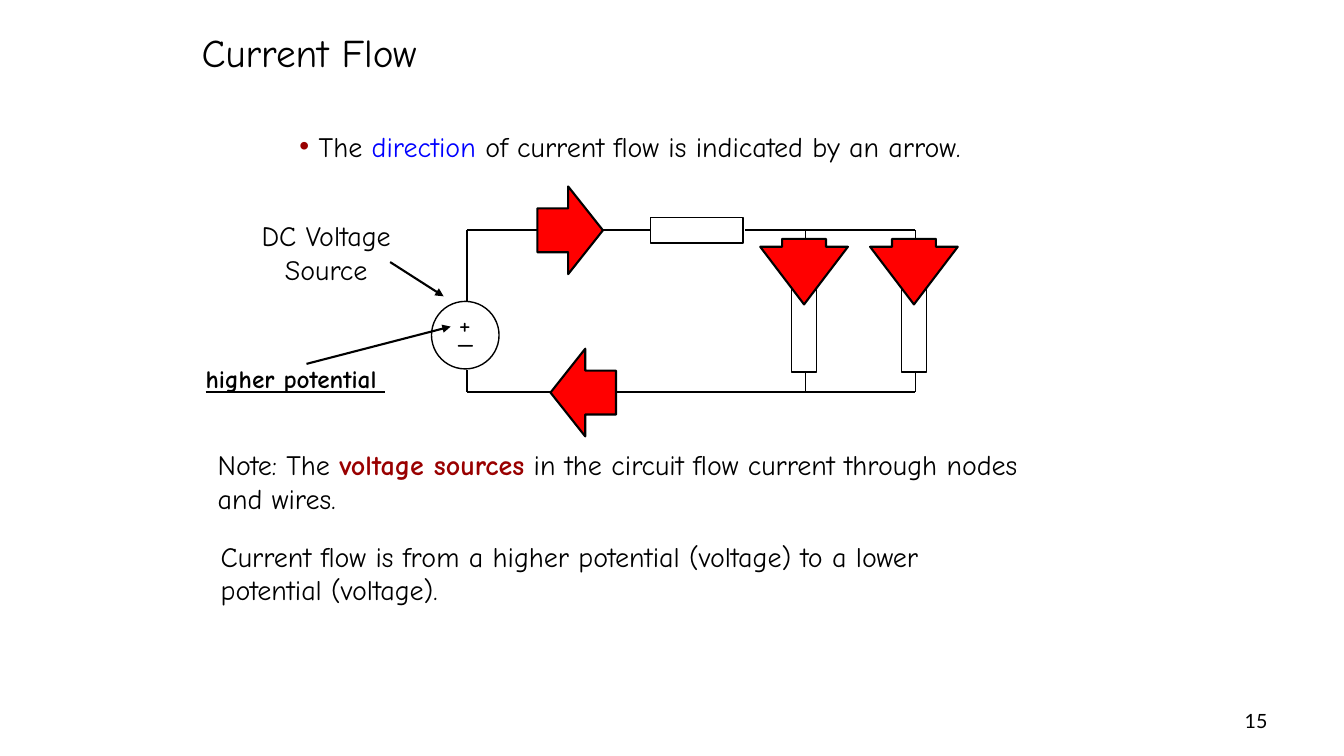
"""Build the Current Flow slide with its circuit diagram."""
from dataclasses import dataclass

from lxml import etree
from pptx import Presentation
from pptx.dml.color import RGBColor
from pptx.enum.shapes import MSO_CONNECTOR, MSO_SHAPE
from pptx.enum.text import MSO_ANCHOR, MSO_AUTO_SIZE, PP_ALIGN
from pptx.oxml.ns import qn
from pptx.util import Inches, Pt

RECTANGLE, OVAL = MSO_SHAPE.RECTANGLE, MSO_SHAPE.OVAL
RIGHT, LEFT, DOWN = MSO_SHAPE.RIGHT_ARROW, MSO_SHAPE.LEFT_ARROW, MSO_SHAPE.DOWN_ARROW
STRAIGHT = MSO_CONNECTOR.STRAIGHT
TOP, MIDDLE = MSO_ANCHOR.TOP, MSO_ANCHOR.MIDDLE
ALIGN_LEFT, ALIGN_CENTER, ALIGN_RIGHT = PP_ALIGN.LEFT, PP_ALIGN.CENTER, PP_ALIGN.RIGHT
NO_AUTOFIT = MSO_AUTO_SIZE.NONE

COLORS = {"black": "000000", "white": "FFFFFF", "red": "FF0000",
          "blue": "0000FF", "maroon": "990000"}
FONT = "Comic Neue"


@dataclass
class Box:
    """Position and size in inches."""
    left: float
    top: float
    width: float
    height: float


@dataclass
class Part:
    """An outlined circuit part or current arrow."""
    kind: MSO_SHAPE
    box: Box
    fill: str = "white"
    line_width: float = 1
    head: float = 0


@dataclass
class Wire:
    """A straight line, with an arrowhead at its end if it is a pointer."""
    start: tuple[float, float]
    end: tuple[float, float]
    pointer: bool = False


@dataclass
class Run:
    """A piece of text in one style."""
    text: str
    color: str = "black"
    bold: bool = False
    underline: bool = False


@dataclass
class Label:
    """A text box with one paragraph."""
    box: Box
    runs: list[Run]
    size: float = 20
    align: PP_ALIGN = ALIGN_LEFT
    anchor: MSO_ANCHOR = TOP
    font: str = FONT
    wrap: bool = True


TITLE = Label(Box(1.9, 0.23, 3.86, 0.57), [Run("Current Flow")], 28, anchor=MIDDLE)
BULLET = Label(Box(2.87, 1.23, 7.53, 0.44), [
    Run(" The "), Run("direction", "blue"),
    Run(" of current flow is indicated by an arrow.")])

TOP_WIRE, BOTTOM_WIRE = 2.28, 3.89
SOURCE_X, BRANCHES = 4.63, (7.99, 9.08)

WIRES = [
    Wire((SOURCE_X, TOP_WIRE), (SOURCE_X, 3)),
    Wire((SOURCE_X, 3.67), (SOURCE_X, BOTTOM_WIRE)),
    Wire((SOURCE_X, TOP_WIRE), (6.45, TOP_WIRE)),
    Wire((7.39, TOP_WIRE), (BRANCHES[1], TOP_WIRE)),
    Wire((SOURCE_X, BOTTOM_WIRE), (BRANCHES[1], BOTTOM_WIRE)),
    *(Wire((x, TOP_WIRE), (x, 2.77)) for x in BRANCHES),
    *(Wire((x, 3.69), (x, BOTTOM_WIRE)) for x in BRANCHES),
]
POINTERS = [
    Wire((3.87, 2.6), (4.4, 2.94), True),
    Wire((3.04, 3.61), (4.47, 3.24), True),
]
PARTS = [
    Part(OVAL, Box(4.28, 2.99, 0.67, 0.67)),
    Part(RECTANGLE, Box(6.45, 2.16, 0.92, 0.25)),
    *(Part(RECTANGLE, Box(x - 0.14, 2.77, 0.25, 0.92)) for x in BRANCHES),
    Part(RIGHT, Box(5.33, 1.85, 0.65, 0.87), "red", 1.5, 0.53),
    Part(LEFT, Box(5.46, 3.46, 0.65, 0.87), "red", 1.5, 0.53),
    *(Part(DOWN, Box(x - 0.45, 2.37, 0.87, 0.65), "red", 1.5, 0.88) for x in BRANCHES),
]
LABELS = [
    Label(Box(9.56, 6.95, 3.11, 0.4), [Run("15")], 14, ALIGN_RIGHT, MIDDLE, "Lato"),
    Label(Box(2.06, 4.39, 8.51, 0.77), [
        Run("Note: The "), Run("voltage sources", "maroon", True),
        Run(" in the circuit flow current through nodes and wires.")]),
    Label(Box(4.45, 2.99, 0.34, 0.44), [Run("+")], wrap=False),
    Label(Box(4.45, 3.1, 0.38, 0.44), [Run("_")], wrap=False),
    Label(Box(2.09, 2.12, 2.29, 0.77), [Run("DC Voltage Source")], align=ALIGN_CENTER),
    Label(Box(2.09, 5.3, 8.04, 0.77), [
        Run("Current flow is from a higher potential (voltage) to a lower potential (voltage).")]),
    Label(Box(1.94, 3.56, 2.24, 0.4), [Run("higher potential ", bold=True, underline=True)], 18),
]


def rgb(name: str) -> RGBColor:
    """Look up a named colour."""
    return RGBColor.from_string(COLORS[name])


def place(box: Box) -> list[Inches]:
    """Convert a box to left, top, width and height lengths."""
    return [Inches(value) for value in (box.left, box.top, box.width, box.height)]


def write_label(shape, label: Label) -> None:
    """Position a text shape and write its formatted runs."""
    shape.left, shape.top, shape.width, shape.height = place(label.box)
    frame = shape.text_frame
    frame.auto_size = NO_AUTOFIT
    frame.word_wrap = label.wrap
    frame.vertical_anchor = label.anchor
    paragraph = frame.paragraphs[0]
    paragraph.alignment = label.align
    paragraph.space_before = Pt(0)
    for item in label.runs:
        run = paragraph.add_run()
        run.text = item.text
        run.font.name = label.font
        run.font.size = Pt(label.size)
        run.font.bold = item.bold
        run.font.underline = item.underline
        run.font.color.rgb = rgb(item.color)


def add_bullet(paragraph, color: str) -> None:
    """Give a paragraph a coloured bullet without indent."""
    properties = paragraph._p.get_or_add_pPr()
    properties.set("marL", "0")
    properties.set("indent", "0")
    bullet_color = etree.SubElement(properties, qn("a:buClr"))
    etree.SubElement(bullet_color, qn("a:srgbClr"), val=COLORS[color])
    etree.SubElement(properties, qn("a:buChar"), char="•")


def add_wire(slide, wire: Wire) -> None:
    """Draw a wire or pointer."""
    ends = [Inches(value) for value in (*wire.start, *wire.end)]
    connector = slide.shapes.add_connector(STRAIGHT, *ends)
    connector.line.color.rgb = rgb("black")
    connector.line.width = Pt(1.5 if wire.pointer else 1)
    if wire.pointer:
        etree.SubElement(connector.line._get_or_add_ln(), qn("a:tailEnd"), type="triangle")
    etree.SubElement(connector._element.spPr, qn("a:effectLst"))


def add_part(slide, part: Part) -> None:
    """Draw a circuit part or current arrow."""
    shape = slide.shapes.add_shape(part.kind, *place(part.box))
    shape.shadow.inherit = False
    shape.fill.solid()
    shape.fill.fore_color.rgb = rgb(part.fill)
    shape.line.color.rgb = rgb("black")
    shape.line.width = Pt(part.line_width)
    if part.head:
        shape.adjustments[1] = part.head


def main() -> None:
    """Build and save the slide."""
    presentation = Presentation()
    presentation.slide_width, presentation.slide_height = Inches(13.33), Inches(7.5)
    slide = presentation.slides.add_slide(presentation.slide_layouts[1])
    body = slide.placeholders[1]
    write_label(slide.shapes.title, TITLE)
    write_label(body, BULLET)
    add_bullet(body.text_frame.paragraphs[0], "maroon")
    for wire in WIRES:
        add_wire(slide, wire)
    for part in PARTS:
        add_part(slide, part)
    for label in LABELS:
        write_label(slide.shapes.add_textbox(*place(label.box)), label)
    for pointer in POINTERS:
        add_wire(slide, pointer)
    presentation.save("out.pptx")


if __name__ == "__main__":
    main()
